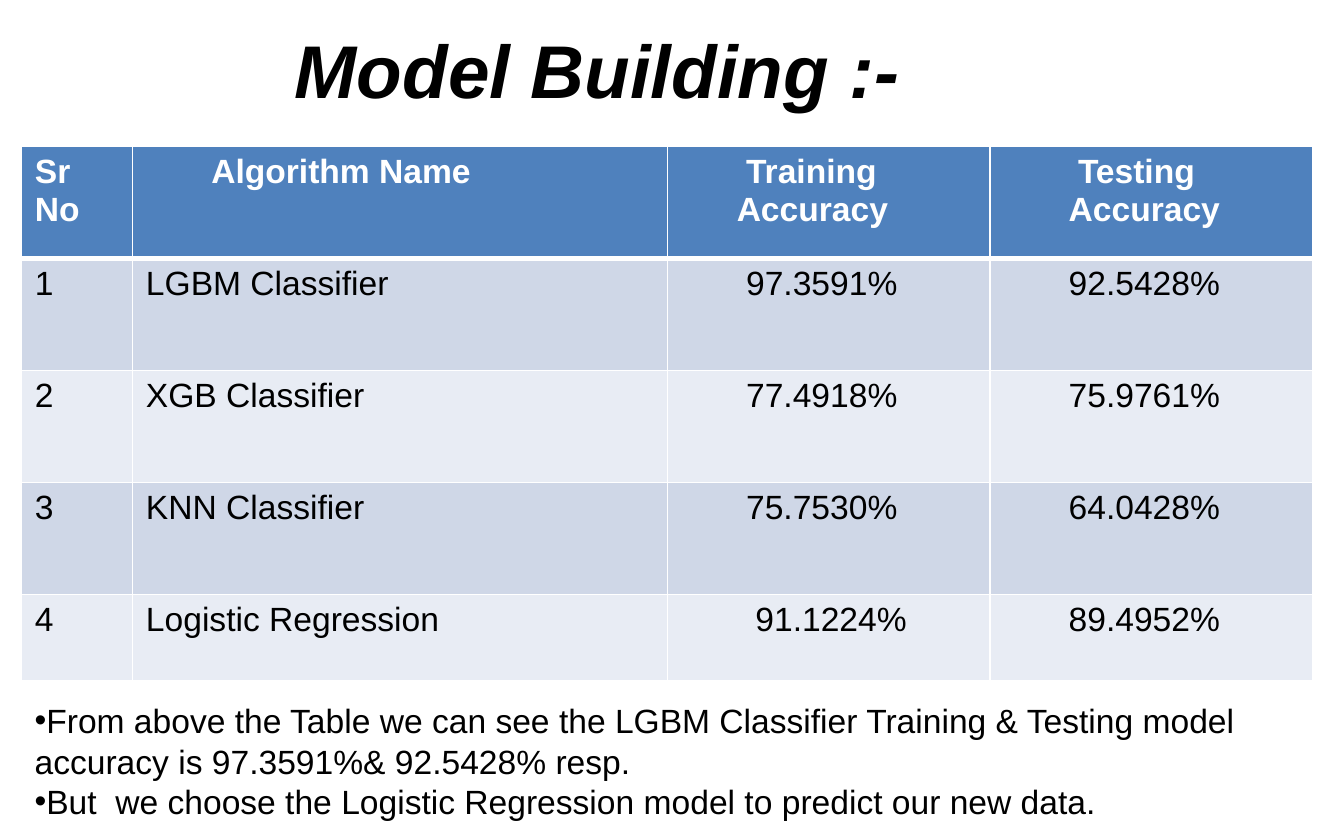
import pptx
import pptx.dml.color
import pptx.enum.text
import pptx.oxml
import pptx.oxml.ns
import pptx.util
from lxml import etree

Pt = pptx.util.Pt
PP_ALIGN = pptx.enum.text.PP_ALIGN
MSO_ANCHOR = pptx.enum.text.MSO_ANCHOR
qn = pptx.oxml.ns.qn

COLORS = {"text": "000000", "white": "FFFFFF", "header": "4F81BD",
          "band_dark": "CFD7E7", "band_light": "E8ECF4"}
FONT = "Arial"

HEADERS = ["Sr No", "Algorithm Name", "Training\nAccuracy", "Testing\nAccuracy"]
RESULTS = [
    ["1", "LGBM Classifier", "97.3591%", "92.5428%"],
    ["2", "XGB Classifier", "77.4918%", "75.9761%"],
    ["3", "KNN Classifier", "75.7530%", "64.0428%"],
    ["4", "Logistic Regression", "91.1224%", "89.4952%"],
]
COL_WIDTHS = [59.5, 286.5, 172.8, 172.8]
ROW_HEIGHTS = [60, 60, 60, 60, 46.5]
# Left indents of the paragraphs in each column
HEADER_INDENTS = [[0], [35], [35, 30], [40, 35]]
BODY_INDENTS = [0, 0, 35, 35]
NOTES = [
    "From above the Table we can see the LGBM Classifier Training & Testing "
    "model accuracy is 97.3591%& 92.5428% resp.",
    "But  we choose the Logistic Regression model to predict our new data.",
]


def rgb(name):
    return pptx.dml.color.RGBColor.from_string(COLORS[name])


def write(tf, text, size=18, color="text", bold=False, italic=False,
          align=PP_ALIGN.LEFT, indents=(0,), first=0, bullet=None):
    """Fill a text frame, one paragraph per line of text."""
    tf.word_wrap = True
    for i, line in enumerate(text.split("\n")):
        p = tf.paragraphs[0] if i == 0 else tf.add_paragraph()
        p.alignment = align
        r = p.add_run()
        r.text = line
        r.font.name, r.font.size = FONT, Pt(size)
        r.font.bold, r.font.italic = bold, italic
        r.font.color.rgb = rgb(color)
        pPr = p._p.get_or_add_pPr()
        pPr.set("marL", str(Pt(indents[i % len(indents)])))
        pPr.set("indent", str(Pt(first)))
        if bullet:
            etree.SubElement(pPr, qn("a:buFont")).set("typeface", FONT)
            etree.SubElement(pPr, qn("a:buChar")).set("char", bullet)


def set_borders(cell, bottom=1):
    """White lines on all four sides, placed ahead of the cell fill."""
    tcPr = cell._tc.get_or_add_tcPr()
    for i, (tag, width) in enumerate([("lnL", 1), ("lnR", 1), ("lnT", 1), ("lnB", bottom)]):
        ln = etree.Element(qn("a:" + tag), w=str(Pt(width)))
        fill = etree.SubElement(ln, qn("a:solidFill"))
        etree.SubElement(fill, qn("a:srgbClr")).set("val", COLORS["white"])
        tcPr.insert(i, ln)


def add_title(slide, x, y, w, h):
    tf = slide.shapes.add_textbox(Pt(x), Pt(y), Pt(w), Pt(h)).text_frame
    tf.vertical_anchor = MSO_ANCHOR.MIDDLE
    write(tf, "Model Building :-", size=40, bold=True, italic=True,
          align=PP_ALIGN.CENTER)


def add_results_table(slide, x, y):
    rows = [HEADERS] + RESULTS
    table = slide.shapes.add_table(
        len(rows), len(HEADERS), Pt(x), Pt(y),
        Pt(sum(COL_WIDTHS)), Pt(sum(ROW_HEIGHTS))).table
    for col, width in zip(table.columns, COL_WIDTHS):
        col.width = Pt(width)
    for row, height in zip(table.rows, ROW_HEIGHTS):
        row.height = Pt(height)
    for i, values in enumerate(rows):
        header = i == 0
        fill = "header" if header else "band_dark" if i % 2 else "band_light"
        for j, value in enumerate(values):
            cell = table.cell(i, j)
            cell.fill.solid()
            cell.fill.fore_color.rgb = rgb(fill)
            set_borders(cell, bottom=3 if header else 1)
            indents = HEADER_INDENTS[j] if header else [BODY_INDENTS[j]]
            # The last training score sits one space further right
            if (i, j) == (4, 2):
                indents = [40]
            write(cell.text_frame, value, bold=header, indents=indents,
                  color="white" if header else "text")


def add_notes_text(slide, x, y, w, h):
    tf = slide.shapes.add_textbox(Pt(x), Pt(y), Pt(w), Pt(h)).text_frame
    write(tf, "\n".join(NOTES), first=-8.64, bullet="•")


def main():
    prs = pptx.Presentation()
    prs.slide_width, prs.slide_height = Pt(720), Pt(450)
    slide = prs.slides.add_slide(prs.slide_layouts[6])
    add_title(slide, 16.5, 0, 607, 73.5)
    add_results_table(slide, 11.5, 78.5)
    add_notes_text(slide, 11.5, 371.5, 692, 72.7)
    prs.save("out.pptx")


if __name__ == "__main__":
    main()
